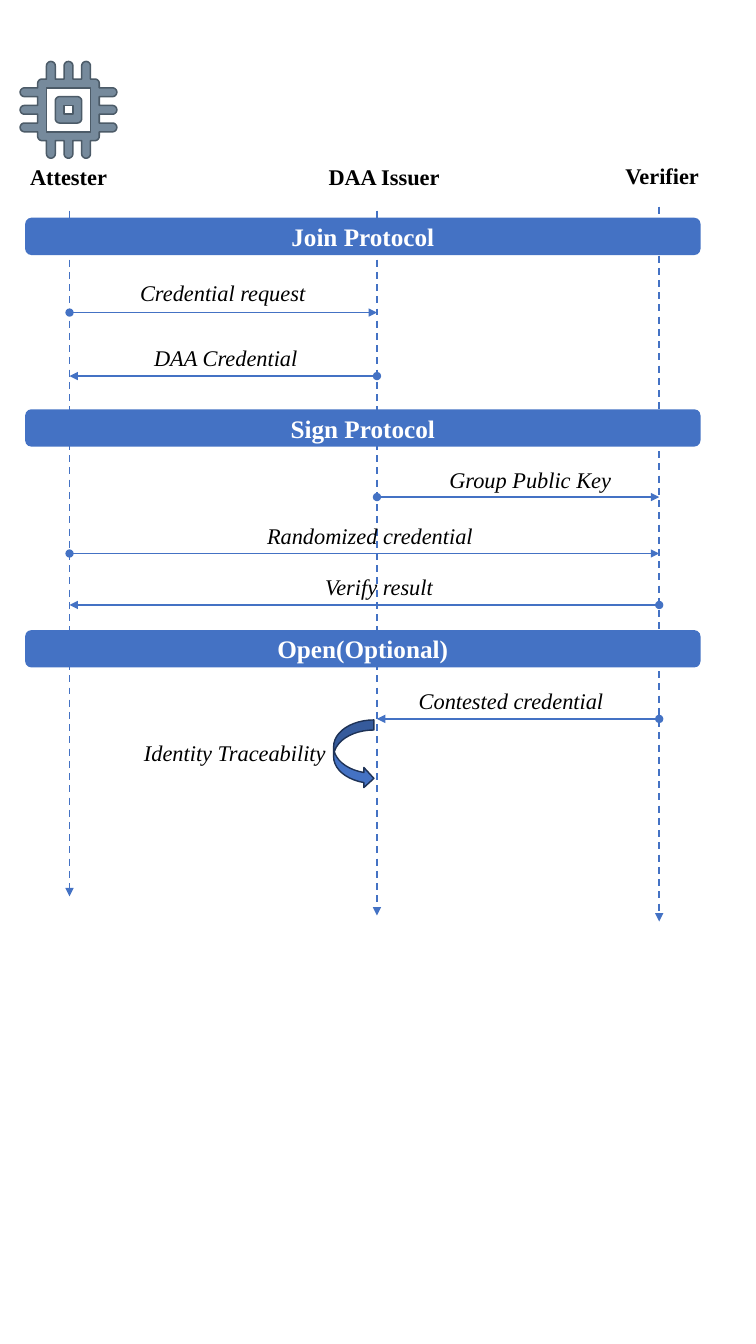
from math import cos, pi, sin

from lxml.etree import SubElement
from pptx import Presentation
from pptx.dml.color import RGBColor
from pptx.enum.dml import MSO_LINE
from pptx.enum.shapes import MSO_CONNECTOR, MSO_SHAPE
from pptx.enum.text import MSO_ANCHOR, MSO_AUTO_SIZE, PP_ALIGN
from pptx.oxml.ns import qn
from pptx.util import Inches, Pt

BLUE = RGBColor(0x44, 0x72, 0xC4)
NAVY = RGBColor(0x1E, 0x32, 0x56)
CHIP_FILL = RGBColor(0x76, 0x8A, 0x9C)
CHIP_LINE = RGBColor(0x4C, 0x5B, 0x68)
BLACK = RGBColor(0, 0, 0)
WHITE = RGBColor(0xFF, 0xFF, 0xFF)
FONT = "Times New Roman"

ROW = 0.37
LABEL_W = 3.85
ATTESTER, ISSUER, VERIFIER = 0.69, 3.74, 6.54

LIFELINES = [(ATTESTER, 2.09, 8.89), (ISSUER, 2.09, 9.08), (VERIFIER, 2.05, 9.14)]
ACTORS = [("Attester", 0.68, 1.57), ("DAA Issuer", 3.81, 1.57), ("Verifier", 6.57, 1.56)]
PHASES = [("Join Protocol", 2.16), ("Sign Protocol", 4.06), ("Open(Optional)", 6.25)]
MESSAGES = [
    ("Credential request", ATTESTER, ISSUER, 3.1, 2.21, 2.72),
    ("DAA Credential", ISSUER, ATTESTER, 3.73, 2.24, 3.36),
    ("Group Public Key", ISSUER, VERIFIER, 4.93, 5.26, 4.57),
    ("Randomized credential", ATTESTER, VERIFIER, 5.49, 3.67, 5.13),
    ("Verify result", VERIFIER, ATTESTER, 6, 3.76, 5.64),
    ("Contested credential", VERIFIER, ISSUER, 7.13, 5.07, 6.77),
]


def write(tf, text, size, color, bold=False, italic=False):
    tf.word_wrap = True
    p = tf.paragraphs[0]
    p.text = text
    p.alignment = PP_ALIGN.CENTER
    f = p.font
    f.name, f.size, f.bold, f.italic = FONT, Pt(size), bold, italic
    f.color.rgb = color


def add_label(s, text, center, top, width, **style):
    tb = s.shapes.add_textbox(
        Inches(center - width / 2), Inches(top), Inches(width), Inches(ROW))
    write(tb.text_frame, text, 16, BLACK, **style)
    tb.text_frame.auto_size = MSO_AUTO_SIZE.SHAPE_TO_FIT_TEXT


def add_arrow(s, x1, y1, x2, y2, dashed=False):
    c = s.shapes.add_connector(
        MSO_CONNECTOR.STRAIGHT, Inches(x1), Inches(y1), Inches(x2), Inches(y2))
    c.line.color.rgb = BLUE
    c.line.width = Pt(1.25)
    if dashed:
        c.line.dash_style = MSO_LINE.DASH
    ln = c.line._get_or_add_ln()
    if not dashed:
        SubElement(ln, qn("a:headEnd"), type="oval")
    SubElement(ln, qn("a:tailEnd"), type="triangle")
    SubElement(c._element.spPr, qn("a:effectLst"))


def add_phase(s, text, left, top, width):
    sp = s.shapes.add_shape(
        MSO_SHAPE.ROUNDED_RECTANGLE, Inches(left), Inches(top), Inches(width), Inches(ROW))
    sp.shadow.inherit = False
    sp.fill.solid()
    sp.fill.fore_color.rgb = BLUE
    sp.line.fill.background()
    sp.text_frame.vertical_anchor = MSO_ANCHOR.MIDDLE
    write(sp.text_frame, text, 18, WHITE, bold=True)


def add_message(s, text, start, end, y, label_center, label_top):
    add_arrow(s, start, y, end, y)
    add_label(s, text, label_center, label_top, LABEL_W, italic=True)


def add_self_message(s, text, left, top, width, height):
    sp = s.shapes.add_shape(
        MSO_SHAPE.CURVED_RIGHT_ARROW, Inches(left), Inches(top), Inches(width), Inches(height))
    sp.shadow.inherit = False
    sp.fill.solid()
    sp.fill.fore_color.rgb = BLUE
    sp.line.color.rgb = NAVY
    sp.line.width = Pt(1)
    add_label(s, text, left - 0.98, top + 0.14, LABEL_W, italic=True)


def arc(cx, cy, radius, start, end, steps=10):
    angles = [start + (end - start) * i / steps for i in range(steps + 1)]
    return [(cx + radius * cos(a), cy + radius * sin(a)) for a in angles]


def four_sides(side):
    points = []
    for _ in range(4):
        points += side
        side = [(-y, x) for x, y in side]
    return points


def add_chip(s, left, top, size):
    unit = size / 22
    body, pin_center, inset = 7 * unit, 10 * unit, 6 * unit
    outline = arc(-inset, -inset, unit, pi, 1.5 * pi)
    for x in (-4 * unit, 0, 4 * unit):
        outline += [(x - unit, -body), *arc(x, -pin_center, unit, pi, 2 * pi), (x + unit, -body)]
    window = [(-5 * unit, -5 * unit)]
    core = arc(-2 * unit, -2 * unit, unit, pi, 1.5 * pi)
    hole = [(-unit, -unit)]
    contours = [four_sides(outline), four_sides(window)[::-1],
                four_sides(core), four_sides(hole)[::-1]]
    cx, cy = left + size / 2, top + size / 2
    builder = None
    for contour in contours:
        first, *rest = [(Inches(cx + x), Inches(cy + y)) for x, y in contour]
        if builder is None:
            builder = s.shapes.build_freeform(*first)
        else:
            builder.move_to(*first)
        builder.add_line_segments(rest, close=True)
    sp = builder.convert_to_shape()
    sp.shadow.inherit = False
    sp.fill.solid()
    sp.fill.fore_color.rgb = CHIP_FILL
    sp.line.color.rgb = CHIP_LINE
    sp.line.width = Pt(1.08)


def add_sequence(s):
    for x, top, bottom in LIFELINES:
        add_arrow(s, x, top, x, bottom, dashed=True)
    add_chip(s, 0.2, 0.61, 0.96)
    for name, center, top in ACTORS:
        add_label(s, name, center, top, 1.82, bold=True)
    for name, top in PHASES:
        add_phase(s, name, 0.25, top, 6.7)
    for message in MESSAGES:
        add_message(s, *message)
    add_self_message(s, "Identity Traceability", 3.31, 7.14, 0.4, 0.68)


def main():
    prs = Presentation()
    prs.slide_width, prs.slide_height = Inches(7.5), Inches(13.33)
    s = prs.slides.add_slide(prs.slide_layouts[6])
    add_sequence(s)
    prs.save("out.pptx")


if __name__ == "__main__":
    main()
